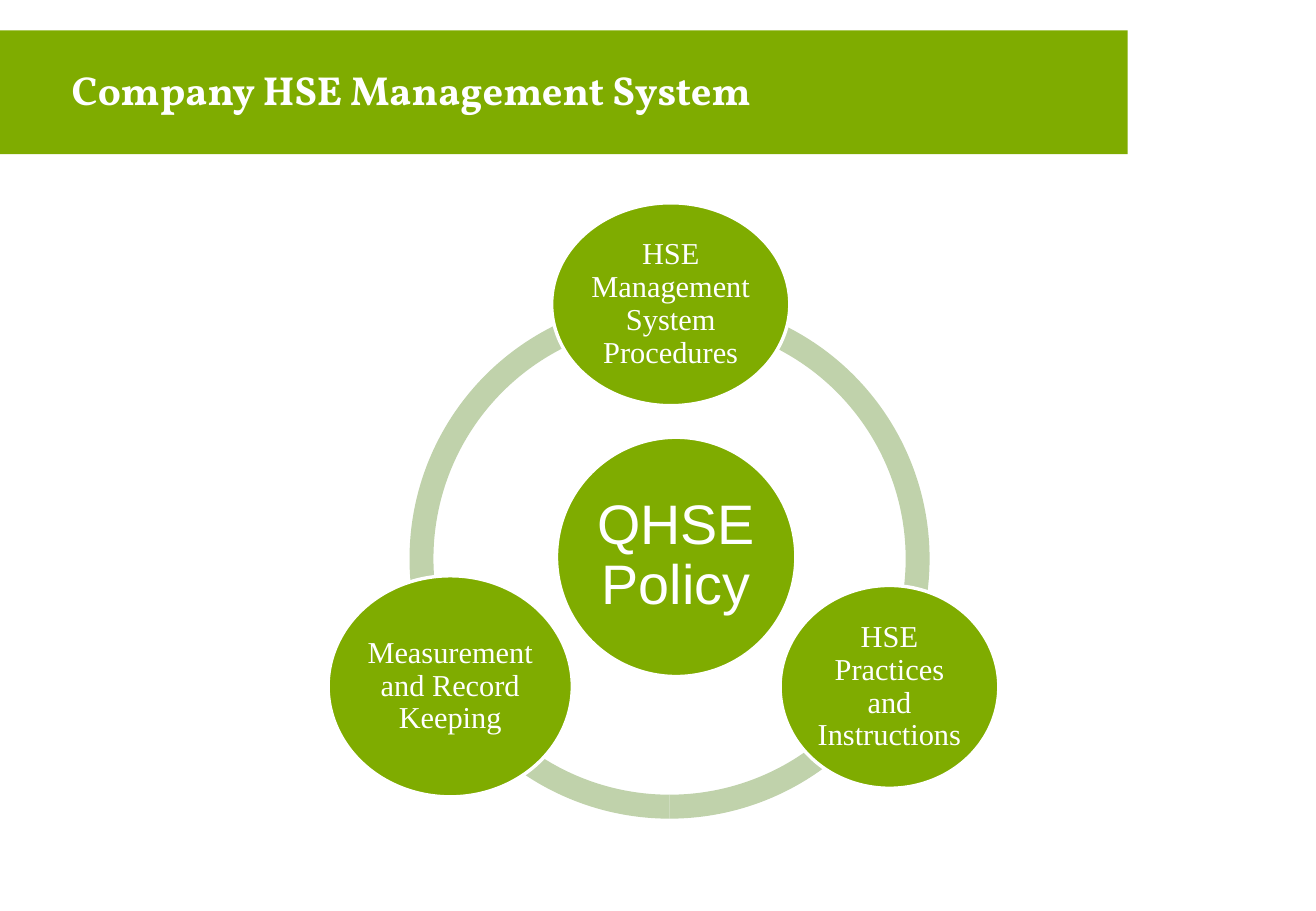
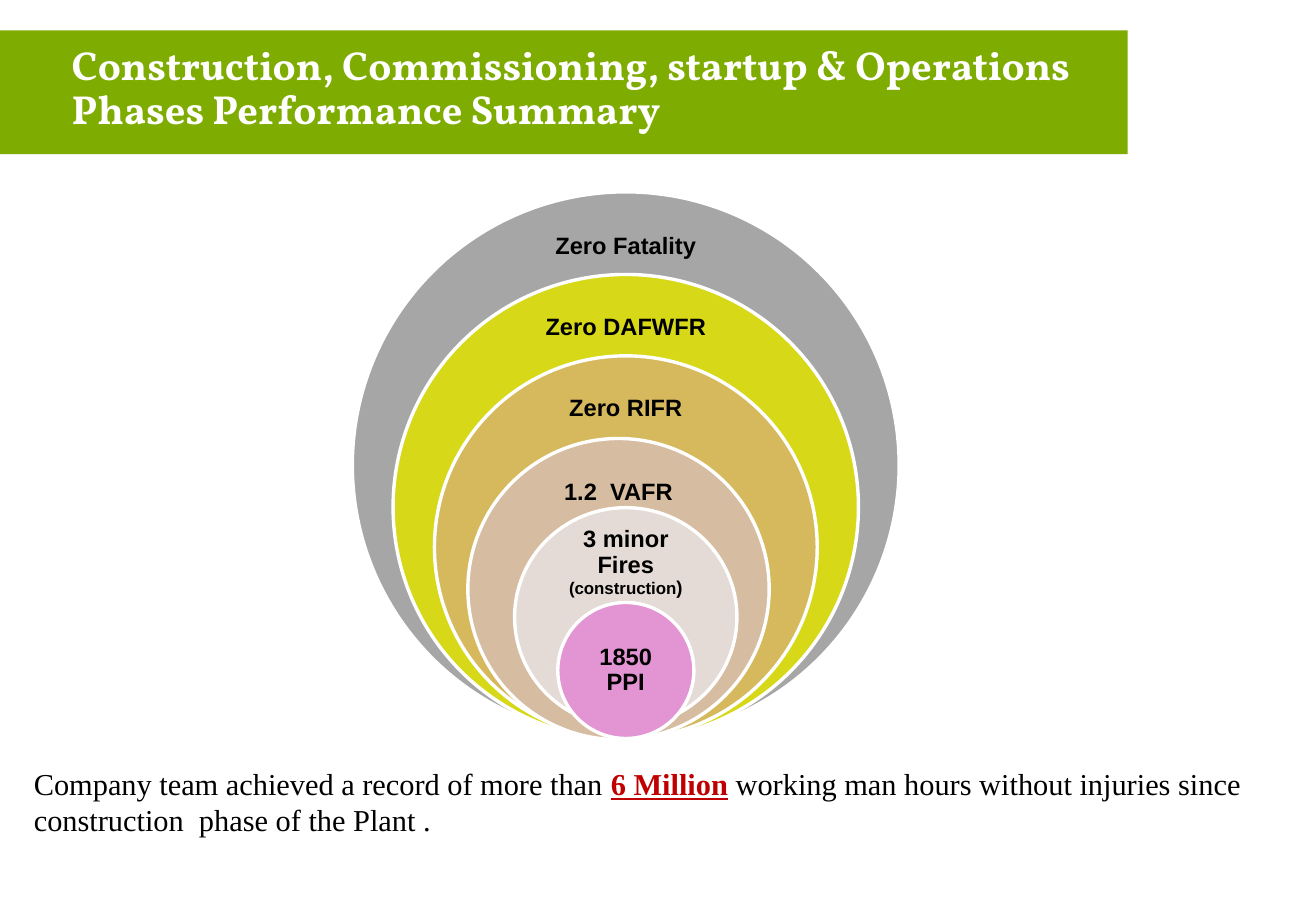
from pptx import Presentation
from pptx.dml.color import RGBColor
from pptx.enum.shapes import MSO_SHAPE
from pptx.enum.text import MSO_ANCHOR, MSO_AUTO_SIZE, PP_ALIGN
from pptx.util import Inches, Pt

COLORS = {
    "green": "7FAC00", "sage": "C0D2AB", "white": "FFFFFF", "black": "000000",
    "red": "C00000", "gray": "A6A6A6", "lime": "D6D818", "gold": "D6B95D",
    "tan": "D6BCA0", "pale": "E4DAD6", "pink": "E294D3",
}
SERIF, SANS, HEAD = "Times New Roman", "Arial", "Vollkorn"
BAND = (0, 0.25, 9.28, 1.02)


def color(name):
    """Return the named palette colour."""
    return RGBColor.from_string(COLORS[name])


def write(frame, runs, font, tone, align=PP_ALIGN.CENTER, anchor=MSO_ANCHOR.MIDDLE,
          inset=(0.03, 0.03, 0.03, 0.03), spacing=0.9):
    """Fill a text frame with one paragraph of (text, size, changes) runs."""
    frame.word_wrap = True
    frame.auto_size = MSO_AUTO_SIZE.NONE
    frame.vertical_anchor = anchor
    frame.margin_left, frame.margin_top, frame.margin_right, frame.margin_bottom = map(Inches, inset)
    para = frame.paragraphs[0]
    para.alignment = align
    para.line_spacing = spacing
    for text, size, look in runs:
        run = para.add_run()
        run.text = text
        run.font.name = font
        run.font.size = Pt(size)
        run.font.bold = look.get("bold", False)
        run.font.underline = look.get("line", False)
        run.font.color.rgb = color(look.get("tone", tone))


def draw(slide, kind, box, fill, edge=True):
    """Add a filled preset shape, with a white edge if asked."""
    shape = slide.shapes.add_shape(kind, *map(Inches, box))
    shape.shadow.inherit = False
    shape.fill.solid()
    shape.fill.fore_color.rgb = color(fill)
    if edge:
        shape.line.color.rgb = color("white")
        shape.line.width = Pt(2)
    else:
        shape.line.fill.background()
    return shape


def label(slide, box, *args, **style):
    """Add a text box holding the given runs."""
    write(slide.shapes.add_textbox(*map(Inches, box)).text_frame, *args, **style)


def head(slide, text, box, foot=0.05):
    """Place and write the title."""
    title = slide.shapes.title
    title.left, title.top, title.width, title.height = map(Inches, box)
    write(title.text_frame, [(text, 24, {"bold": True})], HEAD, "white",
          align=PP_ALIGN.LEFT, inset=(0.59, 0.05, 0.1, foot))


def cycle(slide, box):
    """Draw a ring of three nodes around a hub."""
    left, top, width, height = box
    ring = (left + 0.67, top + 0.79, 4.28, 4.28)
    for start, end in ((90, 162), (18, 90), (162, 18)):
        arc = draw(slide, MSO_SHAPE.BLOCK_ARC, ring, "sage", edge=False)
        arc.adjustments[0] = start * 0.6
        arc.adjustments[1] = end * 0.6
        arc.adjustments[2] = 0.046
    nodes = (
        ("QHSE Policy", 33, SANS, 1.88, 1.93, 1.97, 1.97),
        ("HSE Management System Procedures", 18, SERIF, 1.84, 0, 1.96, 1.67),
        ("HSE Practices and Instructions", 18, SERIF, width - 1.8, 3.15, 1.8, 1.67),
        ("Measurement and Record Keeping", 18, SERIF, 0, 3.07, 2.01, 1.82),
    )
    for text, size, font, x, y, wide, high in nodes:
        node = draw(slide, MSO_SHAPE.OVAL, (left + x, top + y, wide, high), "green")
        write(node.text_frame, [(text, size, {})], font, "white")


def stack(slide, box):
    """Draw nested circles, each with a label near its top."""
    left, top, width, height = box
    bold = {"bold": True}
    fires = [("3 minor Fires ", 14, bold), ("(construction", 10, bold), (")", 11, bold)]
    rings = (
        ("gray", [("Zero Fatality", 14, bold)], 0, 0, 4.5, 4.5, 0.23, 1.69, 0.45),
        ("lime", [("Zero DAFWFR", 14, bold)], 0, 0.68, 3.83, 3.83, 0.22, 1.65, 0.44),
        ("gold", [("Zero RIFR", 14, bold)], 0, 1.35, 3.15, 3.15, 0.22, 1.63, 0.43),
        ("tan", [("1.2  VAFR", 14, bold)], -0.06, 2.03, 2.48, 2.48, 0.22, 1.34, 0.45),
        ("pale", fires, 0, 2.6, 1.83, 1.8, 0.23, 1.19, 0.45),
        ("pink", [("1850 PPI", 14, bold)], 0, 3.38, 1.12, 1.12, 0.28, 0.8, 0.56),
    )
    for fill, runs, shift, y, wide, high, drop, span, tall in rings:
        mid = left + width / 2 + shift
        draw(slide, MSO_SHAPE.OVAL, (mid - wide / 2, top + y, wide, high), fill)
        label(slide, (mid - span / 2, top + y + drop, span, tall), runs, SANS, "black",
              inset=(0.11, 0.11, 0.11, 0.11))


def note(slide, box):
    """Write the closing sentence."""
    runs = [
        ("Company team achieved a record of more than ", 18, {}),
        ("6 Million", 18, {"bold": True, "line": True, "tone": "red"}),
        (" working man hours without injuries since construction  phase of the Plant .", 18, {}),
    ]
    label(slide, box, runs, SERIF, "black", align=PP_ALIGN.LEFT, anchor=MSO_ANCHOR.TOP,
          inset=(0.1, 0.05, 0.1, 0.05), spacing=1.0)


def main():
    """Build and save the deck."""
    deck = Presentation()
    deck.slide_width, deck.slide_height = Inches(10.83), Inches(7.5)
    layout = deck.slide_layouts[5]
    first = deck.slides.add_slide(layout)
    band = draw(first, MSO_SHAPE.RECTANGLE, BAND, "green", edge=False)
    layout.shapes.element.insert(2, band.element)

    head(first, "Company HSE Management System", BAND)
    cycle(first, (2.7, 1.67, 5.52, 5.07))

    second = deck.slides.add_slide(layout)
    head(second, "Construction, Commissioning, startup & Operations Phases Performance Summary",
         (0, 0.42, 9.39, 1.02), foot=0.44)
    stack(second, (2.9, 1.58, 4.5, 4.5))
    note(second, (0.18, 6.25, 10.65, 0.71))
    deck.save("out.pptx")


if __name__ == "__main__":
    main()
